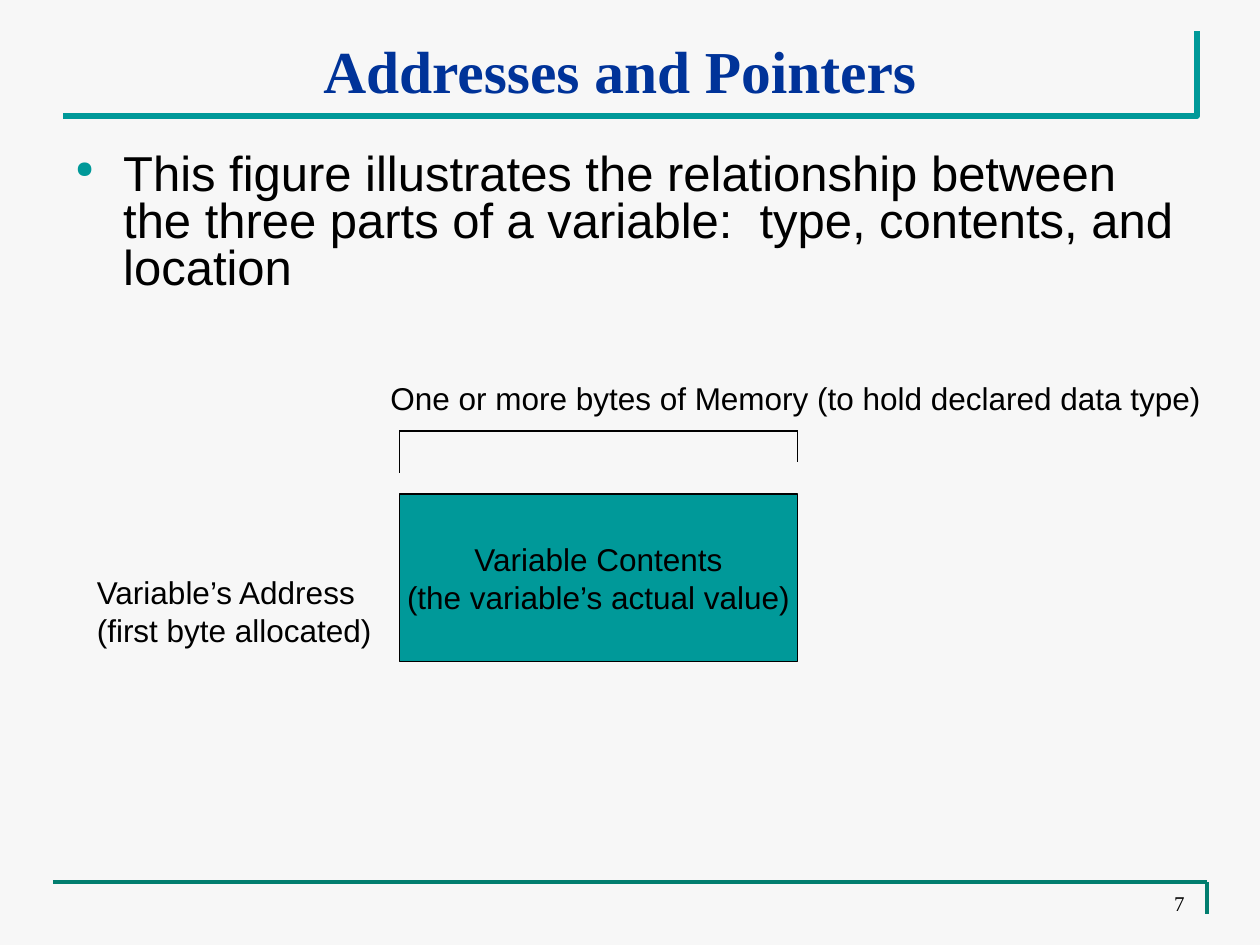
"""Build the slide "Addresses and Pointers" about the parts of a variable."""
from lxml import etree
from pptx import Presentation
from pptx.dml.color import RGBColor
from pptx.enum.shapes import MSO_CONNECTOR, MSO_SHAPE
from pptx.enum.text import MSO_ANCHOR, PP_ALIGN
from pptx.oxml.ns import qn
from pptx.util import Inches, Pt

LEFT, CENTER, RIGHT = PP_ALIGN.LEFT, PP_ALIGN.CENTER, PP_ALIGN.RIGHT
TOP, MIDDLE, BOTTOM = MSO_ANCHOR.TOP, MSO_ANCHOR.MIDDLE, MSO_ANCHOR.BOTTOM
STRAIGHT, RECTANGLE = MSO_CONNECTOR.STRAIGHT, MSO_SHAPE.RECTANGLE

PAPER = RGBColor(0xF7, 0xF7, 0xF7)
TEAL = RGBColor(0x00, 0x99, 0x99)
DARK_TEAL = RGBColor(0x02, 0x7E, 0x6F)
NAVY = RGBColor(0x00, 0x33, 0x99)
BLACK = RGBColor(0, 0, 0)
SANS, SERIF = "Arial", "Times New Roman"

TITLE = "Addresses and Pointers"
STATEMENT = ("This figure illustrates the relationship between the three parts "
             "of a variable:  type, contents, and location")
CONTENTS = "Variable Contents\n(the variable’s actual value)"
MEMORY = "One or more bytes of Memory (to hold declared data type)"
ADDRESS = "Variable’s Address\n(first byte allocated)"
PAGE = "7"

BOX_LEFT, BOX_TOP, BOX_WIDTH, BOX_HEIGHT = 3.17, 3.92, 3.16, 1.33
BOX_RIGHT = BOX_LEFT + BOX_WIDTH
BRACKET_TOP = 3.42
TITLE_RULE = [(9.5, 0.25), (9.5, 0.92), (0.5, 0.92)]
FOOTER_RULE = [(0.42, 7), (9.58, 7), (9.58, 7.25)]
BRACKET = [(BOX_LEFT, 3.75), (BOX_LEFT, BRACKET_TOP),
           (BOX_RIGHT, BRACKET_TOP), (BOX_RIGHT, 3.67)]


def write(shape, text, size, font=SANS, color=BLACK, bold=False,
          align=LEFT, anchor=TOP, wrap=False):
    frame = shape.text_frame
    frame.text = text
    frame.word_wrap = wrap
    frame.vertical_anchor = anchor
    for paragraph in frame.paragraphs:
        paragraph.alignment = align
        for run in paragraph.runs:
            run.font.size = Pt(size)
            run.font.name = font
            run.font.bold = bold
            run.font.color.rgb = color
    return frame


def add_label(slide, place, text, size, **style):
    return write(slide.shapes.add_textbox(*map(Inches, place)), text, size, **style)


def add_lines(slide, points, color, width):
    for start, end in zip(points, points[1:]):
        line = slide.shapes.add_connector(STRAIGHT, *map(Inches, start + end))
        line.line.color.rgb = color
        line.line.width = Pt(width)
        etree.SubElement(line._element.spPr, qn("a:effectLst"))


def add_title_rule(slide):
    corners = [(Inches(x), Inches(y)) for x, y in TITLE_RULE]
    builder = slide.shapes.build_freeform(*corners[0])
    builder.add_line_segments(corners[1:], close=False)
    rule = builder.convert_to_shape()
    rule.shadow.inherit = False
    rule.fill.background()
    rule.line.color.rgb = TEAL
    rule.line.width = Pt(3.5)


def add_statement(slide):
    frame = add_label(slide, (0.5, 1.17, 9, 1.25), STATEMENT, 28, wrap=True)
    paragraph = frame.paragraphs[0]
    paragraph.line_spacing = 0.8
    paragraph.space_before = Pt(7)
    properties = paragraph._p.get_or_add_pPr()
    properties.set("marL", str(Inches(0.38)))
    properties.set("indent", str(-Inches(0.38)))
    bullet_color = etree.SubElement(properties, qn("a:buClr"))
    etree.SubElement(bullet_color, qn("a:srgbClr"), val=str(TEAL))
    etree.SubElement(properties, qn("a:buSzPct"), val="48000")
    etree.SubElement(properties, qn("a:buChar"), char="●")


def add_variable_box(slide):
    place = (BOX_LEFT, BOX_TOP, BOX_WIDTH, BOX_HEIGHT)
    box = slide.shapes.add_shape(RECTANGLE, *map(Inches, place))
    box.shadow.inherit = False
    box.fill.solid()
    box.fill.fore_color.rgb = TEAL
    box.line.color.rgb = BLACK
    box.line.width = Pt(0.75)
    write(box, CONTENTS, 18, align=CENTER, anchor=MIDDLE)


def main():
    deck = Presentation()
    deck.slide_width, deck.slide_height = Inches(10), Inches(7.5)
    slide = deck.slides.add_slide(deck.slide_layouts[6])
    slide.background.fill.solid()
    slide.background.fill.fore_color.rgb = PAPER

    add_title_rule(slide)
    add_lines(slide, FOOTER_RULE, DARK_TEAL, 2.25)
    title = add_label(slide, (0.42, 0.22, 9, 0.34), TITLE, 34, font=SERIF,
                      color=NAVY, bold=True, align=CENTER, wrap=True)
    title.margin_top = title.margin_bottom = Inches(0.05)
    add_statement(slide)
    add_variable_box(slide)
    add_lines(slide, BRACKET, BLACK, 0.75)
    add_label(slide, (3, 2.96, 6.75, 0.4), MEMORY, 18)
    add_label(slide, (0.67, 4.5, 2.38, 0.7), ADDRESS, 18)
    add_label(slide, (7.17, 7.08, 2.33, 0.24), PAGE, 12, font=SERIF,
              align=RIGHT, anchor=BOTTOM, wrap=True)
    deck.save("out.pptx")


if __name__ == "__main__":
    main()
